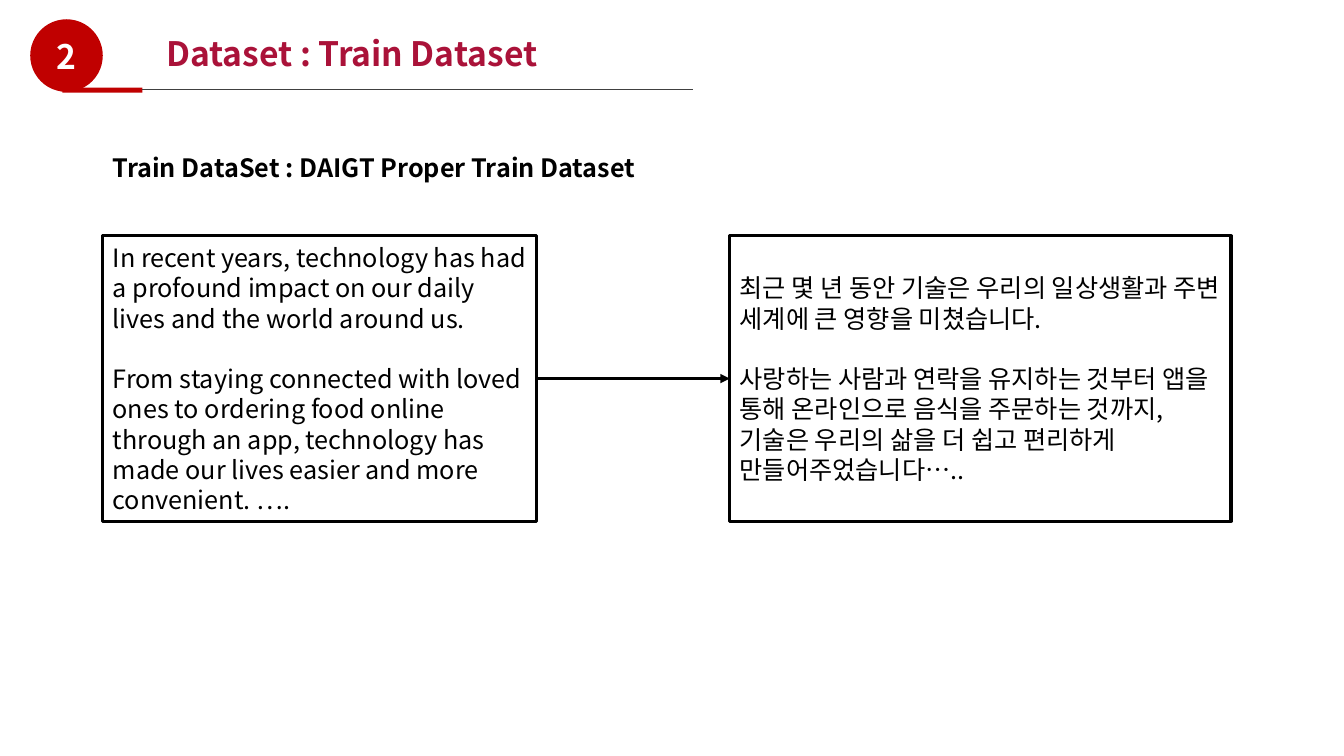
from dataclasses import dataclass

from lxml.etree import SubElement
from pptx import Presentation
from pptx.dml.color import RGBColor
from pptx.enum.shapes import MSO_CONNECTOR, MSO_SHAPE
from pptx.enum.text import MSO_ANCHOR, PP_ALIGN
from pptx.oxml.ns import qn
from pptx.util import Inches, Pt


@dataclass(frozen=True)
class Theme:
    font: str = "Noto Sans CJK KR"
    black: RGBColor = RGBColor(0, 0, 0)
    white: RGBColor = RGBColor(255, 255, 255)
    red: RGBColor = RGBColor(0xC0, 0, 0)
    crimson: RGBColor = RGBColor(0xAA, 0x12, 0x39)
    rule: RGBColor = RGBColor(0x40, 0x40, 0x40)
    heading: int = 24
    body: int = 18
    paragraph_gap: float = 21.7
    thin: float = 0.75
    thick: float = 2.25


class SlideBuilder:
    def __init__(self, deck, theme):
        self.deck = deck
        self.theme = theme
        self.slide = deck.slides.add_slide(deck.slide_layouts[6])

    def place(self, x, y, *size):
        spans = (self.deck.slide_width, self.deck.slide_height) * 2
        return [round(span * share / 100) for span, share in zip(spans, (x, y, *size))]

    def fill_text(self, holder, paragraphs, anchor=MSO_ANCHOR.TOP, align=PP_ALIGN.LEFT, **changes):
        frame = holder.text_frame
        frame.word_wrap = True
        frame.vertical_anchor = anchor
        style = {"name": self.theme.font, "size": Pt(self.theme.body), "bold": False}
        color = changes.pop("color", self.theme.black)
        style.update(changes)
        for index, wording in enumerate(paragraphs):
            paragraph = frame.add_paragraph() if index else frame.paragraphs[0]
            paragraph.alignment = align
            paragraph.space_before = Pt(self.theme.paragraph_gap if index else 0)
            run = paragraph.add_run()
            run.text = wording
            for key, setting in style.items():
                setattr(run.font, key, setting)
            run.font.color.rgb = color

    def shape(self, preset, area, fill=None, outline=None):
        drawn = self.slide.shapes.add_shape(preset, *self.place(*area))
        drawn.shadow.inherit = False
        if fill is None:
            drawn.fill.background()
        else:
            drawn.fill.solid()
            drawn.fill.fore_color.rgb = fill
        if outline is None:
            drawn.line.fill.background()
        else:
            drawn.line.color.rgb = outline
            drawn.line.width = Pt(self.theme.thick)
        return drawn

    def label(self, area, wording, **style):
        self.fill_text(self.slide.shapes.add_textbox(*self.place(*area)), [wording], **style)

    def passage(self, area, paragraphs):
        box = self.shape(MSO_SHAPE.RECTANGLE, area, outline=self.theme.black)
        self.fill_text(box, paragraphs, anchor=MSO_ANCHOR.MIDDLE)

    def line(self, start, end, color, width, arrow=False):
        stroke = self.slide.shapes.add_connector(
            MSO_CONNECTOR.STRAIGHT, *self.place(*start, *end))
        stroke.line.color.rgb = color
        stroke.line.width = Pt(width)
        properties = stroke.element.spPr
        if arrow:
            SubElement(properties.find(qn("a:ln")), qn("a:tailEnd"), type="triangle")
        SubElement(properties, qn("a:effectLst"))


def main():
    deck = Presentation()
    deck.slide_width, deck.slide_height = Inches(13.33), Inches(7.5)
    theme = Theme()
    page = SlideBuilder(deck, theme)

    page.shape(MSO_SHAPE.RECTANGLE, (4.65, 11.6, 5.95, 0.67), fill=theme.red)
    badge = page.shape(MSO_SHAPE.OVAL, (2.25, 2.55, 5.4, 9.6), fill=theme.red)
    heading = {"size": Pt(theme.heading), "bold": True}
    page.fill_text(badge, ["2"], anchor=MSO_ANCHOR.MIDDLE, align=PP_ALIGN.CENTER,
                   color=theme.white, **heading)
    page.label((11.63, 3.75, 48.3, 12.1), "Dataset : Train Dataset",
               align=PP_ALIGN.JUSTIFY, color=theme.crimson, **heading)
    page.line((10.58, 11.9), (51.54, 11.9), theme.rule, theme.thin)

    left, top, height = 7.65, 31.2, 37.75
    english_width, korean_left, korean_width = 32.25, 54.3, 37.3
    page.label((left, 19.45, 48.3, 5.35), "Train DataSet : DAIGT Proper Train Dataset", bold=True)
    page.passage((left, top, english_width, height), [
        "In recent years, technology has had a profound impact on our daily lives "
        "and the world around us.",
        "From staying connected with loved ones to ordering food online through an app, "
        "technology has made our lives easier and more convenient. ….",
    ])
    page.passage((korean_left, top, korean_width, height), [
        "최근 몇 년 동안 기술은 우리의 일상생활과 주변 세계에 큰 영향을 미쳤습니다.",
        "사랑하는 사람과 연락을 유지하는 것부터 앱을 통해 온라인으로 음식을 주문하는 것까지, "
        "기술은 우리의 삶을 더 쉽고 편리하게 만들어주었습니다…..",
    ])
    middle = top + height / 2
    page.line((left + english_width, middle), (korean_left, middle),
              theme.black, theme.thick, arrow=True)

    deck.save("out.pptx")


if __name__ == "__main__":
    main()
